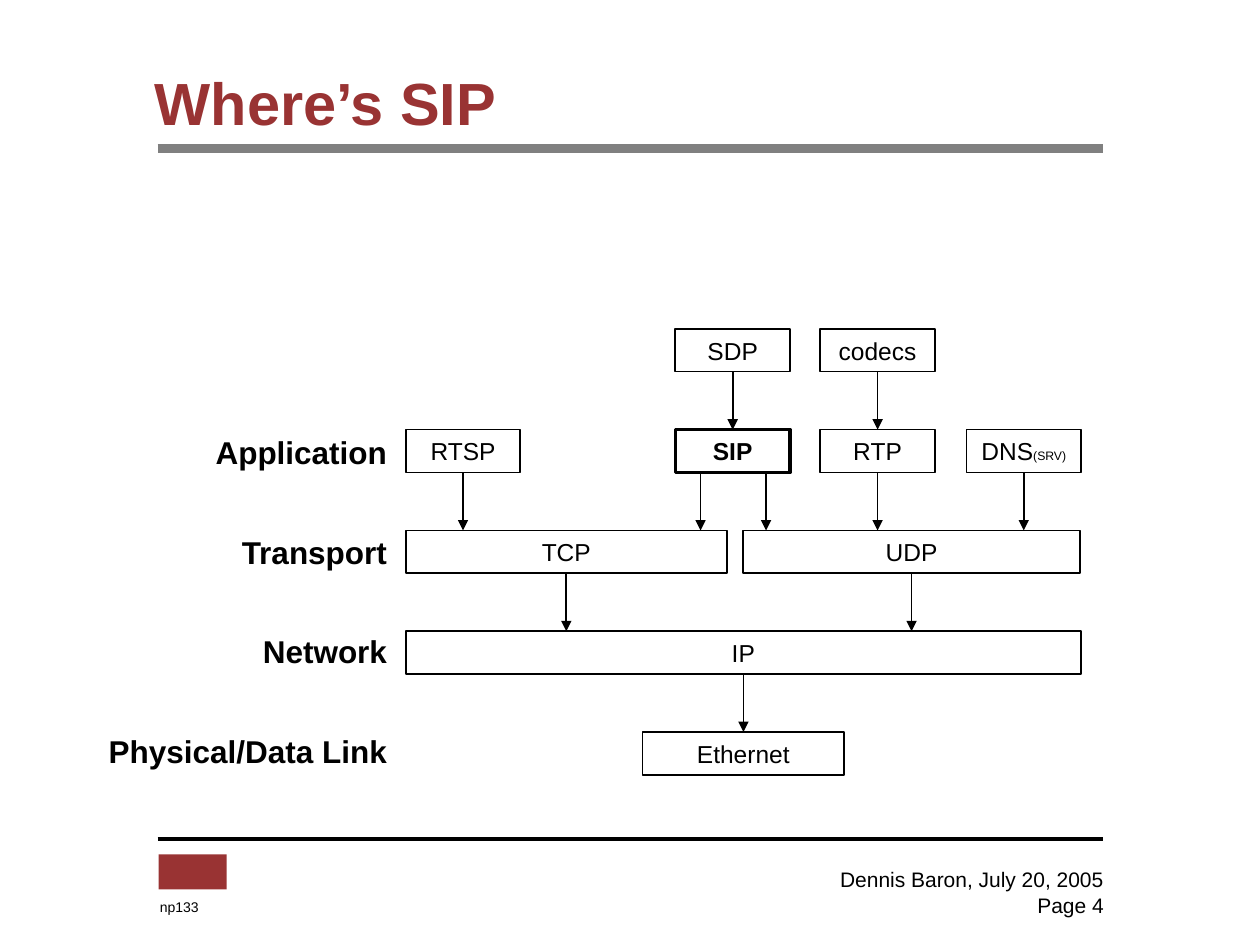
from pptx import Presentation
from pptx.dml.color import RGBColor
from pptx.enum.shapes import MSO_CONNECTOR, MSO_SHAPE
from pptx.enum.text import MSO_ANCHOR, PP_ALIGN
from pptx.oxml.ns import qn
from pptx.util import Inches, Pt
from lxml.etree import SubElement

BLACK, GRAY, RED = "000000", "808080", "993333"
ROW_TOP, ROW_STEP, BOX_HEIGHT, SMALL_WIDTH = 2.61, 0.8, 0.34, 0.91
BOXES = {
    "SDP": (5.36, 0, SMALL_WIDTH),
    "codecs": (6.51, 0, SMALL_WIDTH),
    "RTSP": (3.22, 1, SMALL_WIDTH),
    "SIP": (5.36, 1, SMALL_WIDTH),
    "RTP": (6.51, 1, SMALL_WIDTH),
    "DNS": (7.67, 1, SMALL_WIDTH),
    "TCP": (3.22, 2, 2.55),
    "UDP": (5.9, 2, 2.67),
    "IP": (3.22, 3, 5.36),
    "Ethernet": (5.1, 4, 1.6),
}
ARROWS = [
    ("SDP", "SIP", None), ("codecs", "RTP", None), ("RTSP", "TCP", None),
    ("SIP", "TCP", 5.56), ("SIP", "UDP", 6.08), ("RTP", "UDP", None),
    ("DNS", "UDP", None), ("TCP", "IP", None), ("UDP", "IP", None),
    ("IP", "Ethernet", None),
]
LAYERS = ["Application", "Transport", "Network", "Physical/Data Link"]


def color(value):
    """Turn a hex string into a colour."""
    return RGBColor.from_string(value)


class Diagram:
    """Hold the style and the slide, and draw each kind of element."""

    font = "Arial"

    def __init__(self, slide):
        self.slide = slide

    def style(self, paragraph, size, bold=False, ink=BLACK, align=PP_ALIGN.LEFT):
        """Set the look of a paragraph."""
        paragraph.alignment = align
        paragraph.font.name = self.font
        paragraph.font.size = Pt(size)
        paragraph.font.bold = bold
        paragraph.font.color.rgb = color(ink)

    def text(self, lines, left, top, width, height, size, **look):
        """Add a text box with one paragraph for each line."""
        shape = self.slide.shapes.add_textbox(
            Inches(left), Inches(top), Inches(width), Inches(height))
        frame = shape.text_frame
        frame.word_wrap = True
        frame.vertical_anchor = MSO_ANCHOR.MIDDLE
        frame.text = "\n".join(lines)
        for paragraph in frame.paragraphs:
            self.style(paragraph, size, **look)

    def rectangle(self, left, top, width, height):
        """Add a rectangle without fill, line or shadow."""
        shape = self.slide.shapes.add_shape(
            MSO_SHAPE.RECTANGLE, Inches(left), Inches(top), Inches(width), Inches(height))
        shape.shadow.inherit = False
        shape.fill.background()
        shape.line.fill.background()
        return shape

    def mark(self, left, top, width, height, fill):
        """Add a plain filled block."""
        shape = self.rectangle(left, top, width, height)
        shape.fill.solid()
        shape.fill.fore_color.rgb = color(fill)

    def box(self, name, left, row, width, bold=False, suffix=""):
        """Add a protocol box on a row of the stack."""
        shape = self.rectangle(left, ROW_TOP + row * ROW_STEP, width, BOX_HEIGHT)
        shape.line.color.rgb = color(BLACK)
        shape.line.width = Pt(2 if bold else 1)
        frame = shape.text_frame
        frame.vertical_anchor = MSO_ANCHOR.MIDDLE
        paragraph = frame.paragraphs[0]
        paragraph.add_run().text = name
        self.style(paragraph, 14, bold, align=PP_ALIGN.CENTER)
        if suffix:
            run = paragraph.add_run()
            run.text = suffix
            run.font.size = Pt(7)
        return shape

    def line(self, start, end, width, ink=BLACK):
        """Add a straight line between two points."""
        connector = self.slide.shapes.add_connector(MSO_CONNECTOR.STRAIGHT, *start, *end)
        connector.line.color.rgb = color(ink)
        connector.line.width = Pt(width)
        SubElement(connector._element.spPr, qn("a:effectLst"))
        return connector

    def rule(self, top, width, ink):
        """Add a horizontal rule across the slide."""
        self.line((Inches(1.25), Inches(top)), (Inches(8.75), Inches(top)), width, ink)

    def arrow(self, source, target, x=None):
        """Add a downward arrow, joined where it meets the middle of a side."""
        middle = source.left + source.width // 2
        across = middle if x is None else Inches(x)
        connector = self.line(
            (across, source.top + source.height), (across, target.top), 1)
        SubElement(connector.line._get_or_add_ln(), qn("a:tailEnd"), type="triangle")
        if x is None:
            connector.begin_connect(source, 2)
        if abs(target.left + target.width // 2 - across) < Inches(0.01):
            connector.end_connect(target, 0)


def main():
    """Build the slide and save it."""
    presentation = Presentation()
    presentation.slide_width, presentation.slide_height = Inches(10), Inches(7.5)
    diagram = Diagram(presentation.slides.add_slide(presentation.slide_layouts[6]))

    diagram.rule(6.66, 2, BLACK)
    diagram.rule(1.18, 5, GRAY)
    diagram.mark(1.26, 6.78, 0.54, 0.28, RED)
    diagram.text(["np133"], 1.17, 7.08, 0.7, 0.24, 8)
    diagram.text(["Dennis Baron, July 20, 2005", "Page 4"],
                 6, 6.83, 2.86, 0.5, 12, align=PP_ALIGN.RIGHT)
    diagram.text(["Where’s SIP"], 1.13, 0.42, 7.73, 0.77, 34, bold=True, ink=RED)

    for index, layer in enumerate(LAYERS):
        diagram.text([layer], 0.75, 3.39 + index * 0.79, 2.42, 0.4, 18,
                     bold=True, align=PP_ALIGN.RIGHT)

    boxes = {
        name: diagram.box(name, *place, bold=name == "SIP",
                          suffix="(SRV)" if name == "DNS" else "")
        for name, place in BOXES.items()
    }
    for source, target, x in ARROWS:
        diagram.arrow(boxes[source], boxes[target], x)

    presentation.save("out.pptx")


if __name__ == "__main__":
    main()
